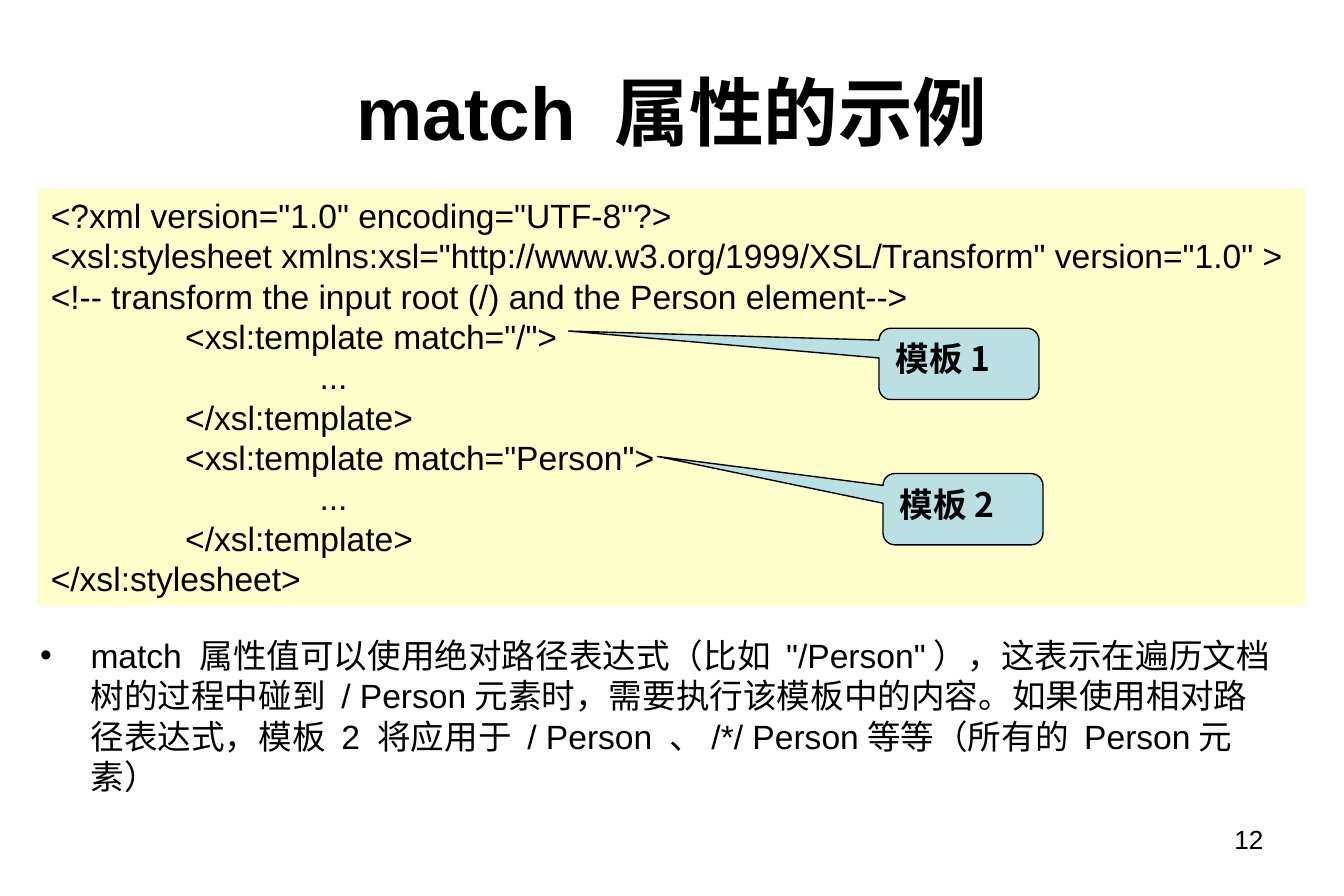
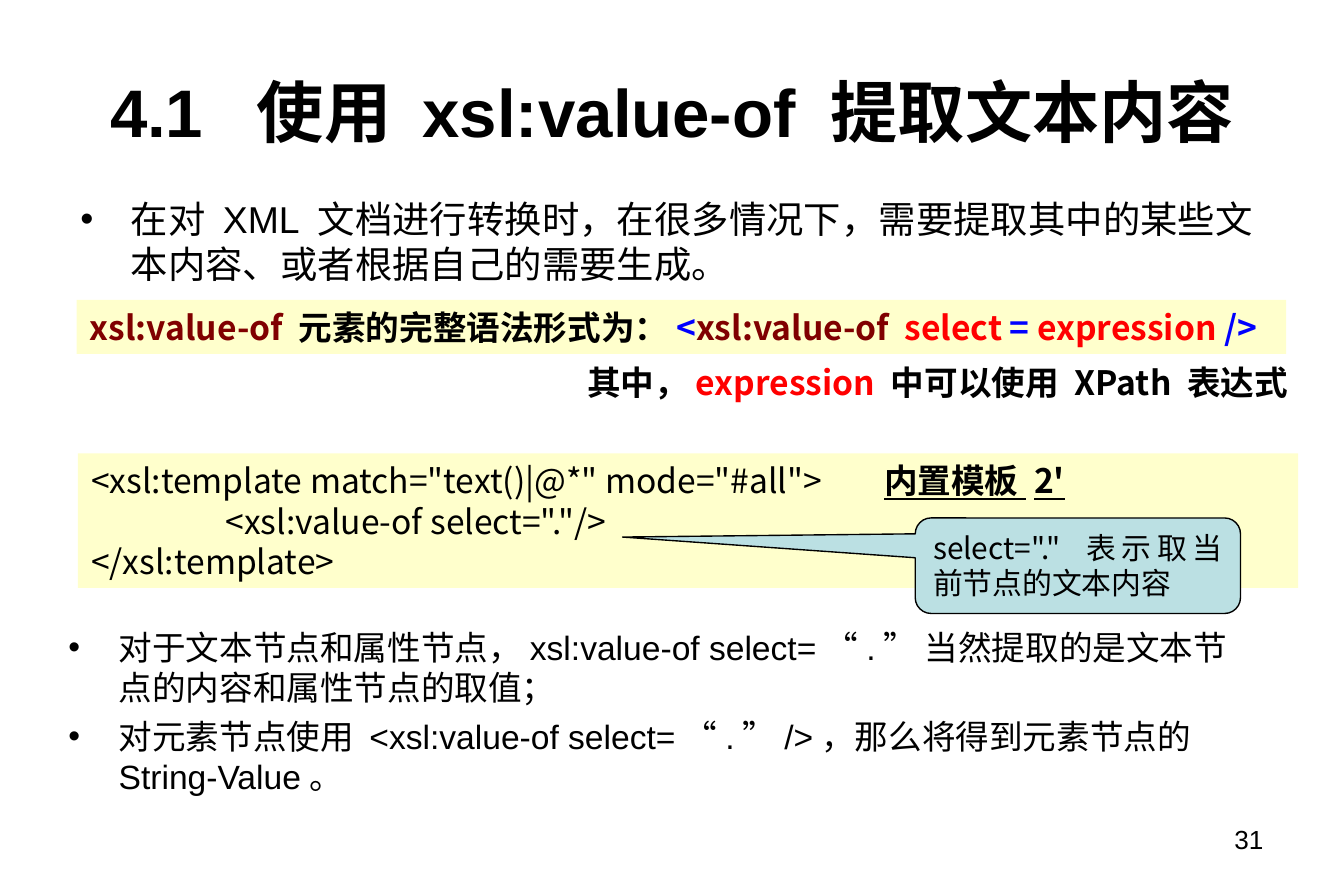
from dataclasses import dataclass
from typing import NamedTuple

from lxml.etree import SubElement
from pptx import Presentation
from pptx.dml.color import RGBColor
from pptx.enum.shapes import MSO_SHAPE
from pptx.enum.text import MSO_ANCHOR, PP_ALIGN
from pptx.oxml.ns import qn
from pptx.util import Inches, Pt

# Grid: 100 columns by 66.6 rows
SLIDE_WIDTH = Inches(10)
SLIDE_HEIGHT = Pt(479.87)
COLUMN = SLIDE_WIDTH / 100
ROW = SLIDE_HEIGHT / 66.6

# Shared style
BLACK, MAROON, RED, BLUE = "000000", "800000", "FF0000", "0000FF"
CODE_FILL, CALLOUT_FILL = "FFFFCC", "BBE0E3"
ARIAL, NOTO = "Arial", "Noto Sans CJK SC"
BULLET_INDENT = 3.75


class Area(NamedTuple):
    column: float
    row: float
    columns: float
    rows: float


class Piece(NamedTuple):
    text: str
    color: str = BLACK
    bold: bool = False
    underline: bool = False


@dataclass
class Style:
    size: float = 18
    font: str = ARIAL
    bold: bool = False
    align: PP_ALIGN = PP_ALIGN.LEFT
    anchor: MSO_ANCHOR = MSO_ANCHOR.TOP
    bullet: bool = False
    space_before: float = 0
    tab_columns: tuple[float, ...] = ()


@dataclass
class Callout:
    area: Area
    text: str
    style: Style
    tip: tuple[float, float]  # offset from the centre, in shares of the shape


TITLE_AREA = Area(5, 2.7, 90, 11.1)
NUMBER_AREA = Area(71.7, 60.7, 23.3, 4.6)
NUMBER_STYLE = Style(14, align=PP_ALIGN.RIGHT)
LIST_STYLE = Style(bullet=True, space_before=4.5)
LABEL_STYLE = Style(font=NOTO, bold=True, align=PP_ALIGN.JUSTIFY)
EMPHASIS_STYLE = Style(font=NOTO, bold=True, anchor=MSO_ANCHOR.MIDDLE)


def rgb(value: str) -> RGBColor:
    return RGBColor.from_string(value)


def place(area: Area) -> list[int]:
    """Turn grid units into slide lengths."""
    return [round(area.column * COLUMN), round(area.row * ROW),
            round(area.columns * COLUMN), round(area.rows * ROW)]


def add_bullet(paragraph) -> None:
    properties = paragraph._p.get_or_add_pPr()
    indent = round(BULLET_INDENT * COLUMN)
    properties.set("marL", str(indent))
    properties.set("indent", str(-indent))
    SubElement(properties, qn("a:buFont")).set("typeface", ARIAL)
    SubElement(properties, qn("a:buChar")).set("char", "•")


def add_tab_stops(paragraph, columns: tuple[float, ...]) -> None:
    tabs = SubElement(paragraph._p.get_or_add_pPr(), qn("a:tabLst"))
    for column in columns:
        SubElement(tabs, qn("a:tab"), pos=str(round(column * COLUMN)), algn="l")


def write(shape, lines: list, style: Style) -> None:
    """Fill a shape; a line is a string or a list of pieces."""
    frame = shape.text_frame
    frame.word_wrap = True
    frame.vertical_anchor = style.anchor
    for index, line in enumerate(lines):
        paragraph = frame.paragraphs[0] if index == 0 else frame.add_paragraph()
        paragraph.alignment = style.align
        paragraph.space_before = Pt(style.space_before)
        if style.bullet:
            add_bullet(paragraph)
        if style.tab_columns:
            add_tab_stops(paragraph, style.tab_columns)
        for piece in [Piece(line)] if isinstance(line, str) else line:
            run = paragraph.add_run()
            run.text = piece.text
            font = run.font
            font.name, font.size = style.font, Pt(style.size)
            font.bold = style.bold or piece.bold
            font.underline = piece.underline
            font.color.rgb = rgb(piece.color)
            SubElement(font._element, qn("a:ea")).set("typeface", NOTO)


def add_text(slide, area: Area, lines: list, style: Style) -> None:
    write(slide.shapes.add_textbox(*place(area)), lines, style)


def add_band(slide, area: Area, lines: list, style: Style) -> None:
    shape = slide.shapes.add_shape(MSO_SHAPE.RECTANGLE, *place(area))
    shape.shadow.inherit = False
    shape.fill.solid()
    shape.fill.fore_color.rgb = rgb(CODE_FILL)
    shape.line.fill.background()
    write(shape, lines, style)


def add_callout(slide, callout: Callout) -> None:
    shape = slide.shapes.add_shape(MSO_SHAPE.ROUNDED_RECTANGULAR_CALLOUT, *place(callout.area))
    shape.shadow.inherit = False
    shape.adjustments[0], shape.adjustments[1] = callout.tip
    shape.fill.solid()
    shape.fill.fore_color.rgb = rgb(CALLOUT_FILL)
    shape.line.color.rgb = rgb(BLACK)
    shape.line.width = Pt(0.75)
    write(shape, [callout.text], callout.style)


def start_slide(presentation, title: str, title_size: float, number: int):
    """Add a blank slide with the shared title and page number."""
    slide = presentation.slides.add_slide(presentation.slide_layouts[6])
    title_style = Style(title_size, bold=True, align=PP_ALIGN.CENTER, anchor=MSO_ANCHOR.MIDDLE)
    add_text(slide, TITLE_AREA, [title], title_style)
    add_text(slide, NUMBER_AREA, [str(number)], NUMBER_STYLE)
    return slide


def build_match_slide(presentation) -> None:
    slide = start_slide(presentation, "match 属性的示例", 40, 12)

    # Stylesheet code
    add_band(slide, Area(2.8, 14, 94.3, 31), [
        '<?xml version="1.0" encoding="UTF-8"?>',
        '<xsl:stylesheet xmlns:xsl="http://www.w3.org/1999/XSL/Transform" version="1.0" >',
        "<!-- transform the input root (/) and the Person element-->",
        '\t<xsl:template match="/">',
        "\t\t...",
        "\t</xsl:template>",
        '\t<xsl:template match="Person">',
        "\t\t...",
        "\t</xsl:template>",
        "</xsl:stylesheet>",
    ], Style(tab_columns=(10, 20)))

    # Template labels
    for callout in (
        Callout(Area(65.4, 24.4, 11.9, 5.3), "模板1", LABEL_STYLE, (-2.44, -0.46)),
        Callout(Area(65.7, 35.2, 11.9, 5.3), "模板2", LABEL_STYLE, (-1.91, -0.74)),
    ):
        add_callout(slide, callout)

    # Explanation
    add_text(slide, Area(2, 46.7, 94.2, 14.8), [
        'match 属性值可以使用绝对路径表达式（比如 "/Person"），这表示在遍历文档树的过程中碰到 '
        "/ Person元素时，需要执行该模板中的内容。如果使用相对路径表达式，模板 2 将应用于 "
        "/ Person 、/*/ Person等等（所有的 Person元素）",
    ], LIST_STYLE)


def build_value_of_slide(presentation) -> None:
    slide = start_slide(presentation, "4.1  使用 xsl:value-of 提取文本内容", 36, 31)

    # Introduction
    add_text(slide, Area(5, 14.1, 90, 8.1), [
        "在对 XML 文档进行转换时，在很多情况下，需要提取其中的某些文本内容、或者根据自己的需要生成。",
    ], Style(20, bullet=True, space_before=5))

    # Syntax band and its note
    add_band(slide, Area(5.7, 22.3, 90, 4), [[
        Piece("xsl:value-of ", MAROON),
        Piece("元素的完整语法形式为："),
        Piece("<", BLUE),
        Piece("xsl:value-of", MAROON),
        Piece("  select ", RED),
        Piece("= ", BLUE),
        Piece("expression ", RED),
        Piece("/>", BLUE),
    ]], EMPHASIS_STYLE)
    add_text(slide, Area(42.7, 26.4, 54.8, 4), [[
        Piece("其中，"),
        Piece("expression ", RED),
        Piece("中可以使用 XPath 表达式"),
    ]], EMPHASIS_STYLE)

    # Built-in template code
    add_band(slide, Area(5.8, 33.7, 90.8, 10), [
        [Piece('<xsl:template match="text()|@*" mode="#all">\t'),
         Piece("内置模板 2'", bold=True, underline=True)],
        '\t<xsl:value-of select="."/>',
        "</xsl:template>",
    ], Style(font=NOTO, anchor=MSO_ANCHOR.MIDDLE, tab_columns=(10, 59)))
    add_callout(slide, Callout(
        Area(68.1, 38.5, 24.2, 7.1), 'select="." 表示取当前节点的文本内容',
        Style(16, NOTO, align=PP_ALIGN.JUSTIFY), (-1.4, -0.3)))

    # Explanation
    add_text(slide, Area(4.1, 46.1, 90, 15.6), [
        "对于文本节点和属性节点，xsl:value-of select=“.” 当然提取的是文本节点的内容和属性节点的取值；",
        "对元素节点使用 <xsl:value-of select=“.”/>，那么将得到元素节点的 String-Value。",
    ], LIST_STYLE)


def main() -> None:
    presentation = Presentation()
    presentation.slide_width = SLIDE_WIDTH
    presentation.slide_height = SLIDE_HEIGHT
    build_match_slide(presentation)
    build_value_of_slide(presentation)
    presentation.save("out.pptx")


if __name__ == "__main__":
    main()
